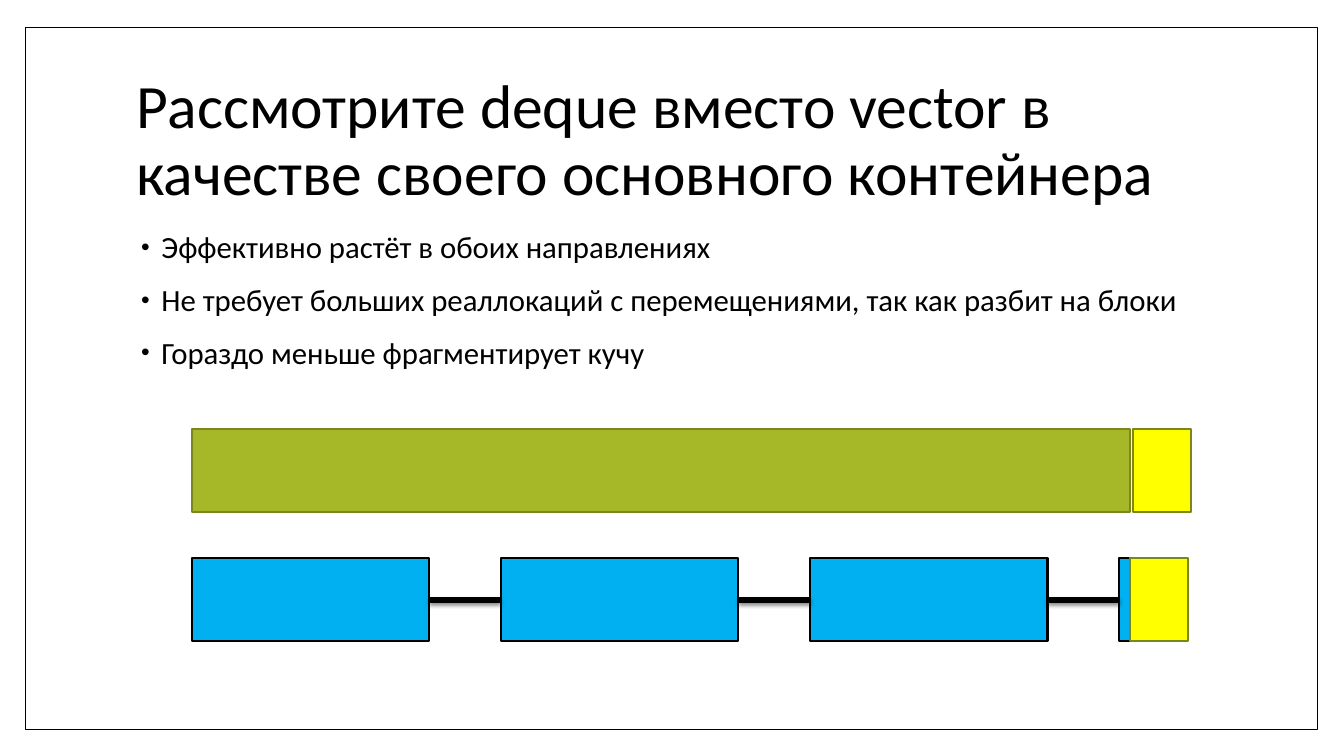
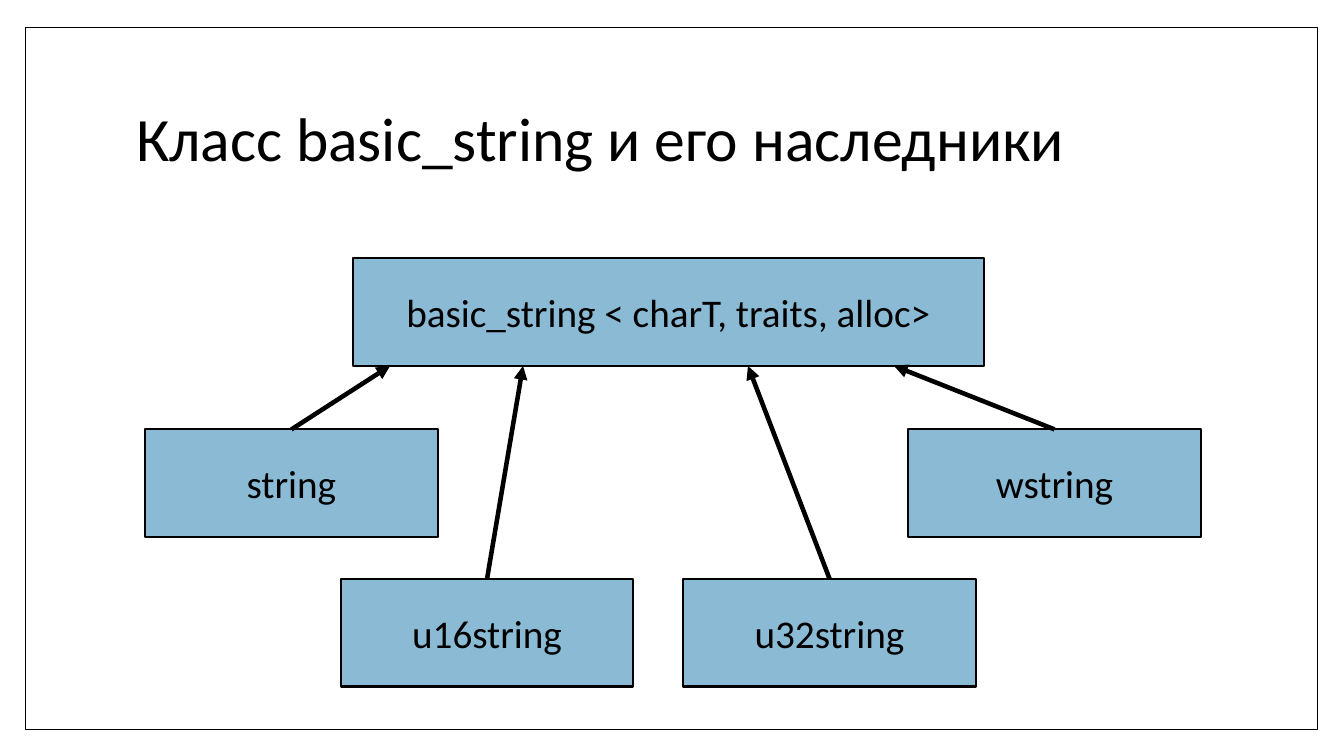
from dataclasses import dataclass

from lxml.etree import SubElement
from pptx import Presentation
from pptx.dml.color import RGBColor as Rgb
from pptx.enum.shapes import MSO_CONNECTOR as Connector, MSO_SHAPE as Preset
from pptx.enum.text import MSO_ANCHOR as Anchor, PP_ALIGN as Align
from pptx.oxml import parse_xml
from pptx.oxml.ns import nsdecls, qn
from pptx.util import Cm, Pt


@dataclass(frozen=True)
class Theme:
    font: str = "Calibri"
    black: str = "000000"
    white: str = "FFFFFF"
    olive: str = "A6B727"
    olive_edge: str = "7B871D"
    blue: str = "00B0F0"
    yellow: str = "FFFF00"
    steel: str = "8ABAD4"
    title_size: int = 44
    class_size: int = 28
    bullet_size: int = 22
    frame_line: float = 1
    box_line: float = 1.5
    link_line: float = 4.25
    arrow_line: float = 3.25


theme = Theme()


def write(frame, lines, size, anchor=Anchor.TOP, align=Align.LEFT,
          spacing=None, gap=0, bullet=None):
    frame.word_wrap = True
    frame.vertical_anchor = anchor
    for index, line in enumerate(lines):
        paragraph = frame.add_paragraph() if index else frame.paragraphs[0]
        paragraph.alignment = align
        paragraph.line_spacing = spacing
        if index and gap:
            paragraph.space_before = Pt(gap)
        if bullet:
            props = paragraph._p.get_or_add_pPr()
            props.set("marL", str(Cm(0.64)))
            props.set("indent", str(-Cm(0.51)))
            SubElement(props, qn("a:buSzPct"), val="80000")
            SubElement(props, qn("a:buFont"), typeface="Arial")
            SubElement(props, qn("a:buChar"), char=bullet)
        run = paragraph.add_run()
        run.text = line
        run.font.name = theme.font
        run.font.size = Pt(size)
        run.font.color.rgb = Rgb.from_string(theme.black)


def add_box(slide, area, fill, edge=theme.black, width=theme.box_line, label=None):
    box = slide.shapes.add_shape(Preset.RECTANGLE, *map(Cm, area))
    box.shadow.inherit = False
    box.fill.solid()
    box.fill.fore_color.rgb = Rgb.from_string(fill)
    box.line.color.rgb = Rgb.from_string(edge)
    box.line.width = Pt(width)
    if label:
        write(box.text_frame, [label], theme.class_size, Anchor.MIDDLE, Align.CENTER)


# Vector: one solid run of memory with a new element at its end
bar_left, bar_height = 4.83, 2.08
vector_top, deque_top = 10.82, 14.07
vector_width, new_width = 23.65, 1.47
vector_end = bar_left + vector_width
memory = [
    ((bar_left, vector_top, vector_width, bar_height), theme.olive, theme.olive_edge),
    ((vector_end + 0.07, vector_top, new_width, bar_height), theme.yellow, theme.olive_edge),
]

# Deque: equal blocks, the last one cut short by the new element
block_width, block_pitch = 5.99, 7.79
block_lefts = [bar_left + i * block_pitch for i in range(4)]
for left in block_lefts:
    width = min(block_width, vector_end - left)
    memory.append(((left, deque_top, width, bar_height), theme.blue))
memory.append(((vector_end, deque_top, new_width, bar_height),
               theme.yellow, theme.olive_edge))
link_y = deque_top + bar_height / 2
links = [(left + block_width, link_y, following, link_y)
         for left, following in zip(block_lefts, block_lefts[1:])]

# String classes: each child points up to the base template
base_top, class_height, child_width = 6.5, 2.72, 7.37
base_bottom = base_top + class_height
upper_row, lower_row = 10.82, 14.58
children = [  # name, left, top, arrow tip
    ("string", 3.66, upper_row, 9.83),
    ("u16string", 8.59, lower_row, 13.18),
    ("u32string", 17.22, lower_row, 18.85),
    ("wstring", 22.89, upper_row, 22.53),
]
classes = [((8.89, base_top, 15.9, class_height), theme.steel, theme.black,
            theme.box_line, "basic_string < charT, traits, alloc>")]
arrows = []
for name, left, top, tip in children:
    classes.append(((left, top, child_width, class_height), theme.steel,
                    theme.black, theme.box_line, name))
    arrows.append((left + child_width / 2, top, tip, base_bottom))

# Slides: title, bullets, boxes, lines, whether the lines are arrows
pages = [
    ("Рассмотрите deque вместо vector в качестве своего основного контейнера",
     ["Эффективно растёт в обоих направлениях",
      "Не требует больших реаллокаций с перемещениями, так как разбит на блоки",
      "Гораздо меньше фрагментирует кучу"],
     memory, links, False),
    ("Класс basic_string и его наследники", [], classes, arrows, True),
]

deck = Presentation()
deck.slide_width, deck.slide_height = Cm(33.87), Cm(19.05)

for title, bullets, boxes, lines, pointed in pages:
    slide = deck.slides.add_slide(deck.slide_layouts[6])

    # Frame and title
    add_box(slide, (0.64, 0.69, 32.56, 17.7), theme.white, width=theme.frame_line)
    heading = slide.shapes.add_textbox(Cm(3.18), Cm(1.7), Cm(27.43), Cm(3.76))
    write(heading.text_frame, [title], theme.title_size, Anchor.MIDDLE, spacing=0.9)

    # Bullets
    if bullets:
        body = slide.shapes.add_textbox(Cm(3.18), Cm(5.72), Cm(27.43), Cm(4.5))
        write(body.text_frame, bullets, theme.bullet_size,
              spacing=0.9, gap=14, bullet="•")

    # Diagram
    for box in boxes:
        add_box(slide, *box)
    for ends in lines:
        line = slide.shapes.add_connector(Connector.STRAIGHT, *map(Cm, ends))
        line.line.color.rgb = Rgb.from_string(theme.black)
        line.line.width = Pt(theme.arrow_line if pointed else theme.link_line)
        effects = SubElement(line._element.spPr, qn("a:effectLst"))
        if pointed:
            SubElement(line.line._get_or_add_ln(), qn("a:tailEnd"), type="triangle")
        else:
            effects.append(parse_xml(
                f'<a:outerShdw {nsdecls("a")} blurRad="{Pt(3)}" dist="{Pt(2)}" '
                f'dir="5400000" rotWithShape="0"><a:srgbClr val="{theme.black}">'
                '<a:alpha val="45000"/></a:srgbClr></a:outerShdw>'))

deck.save("out.pptx")
